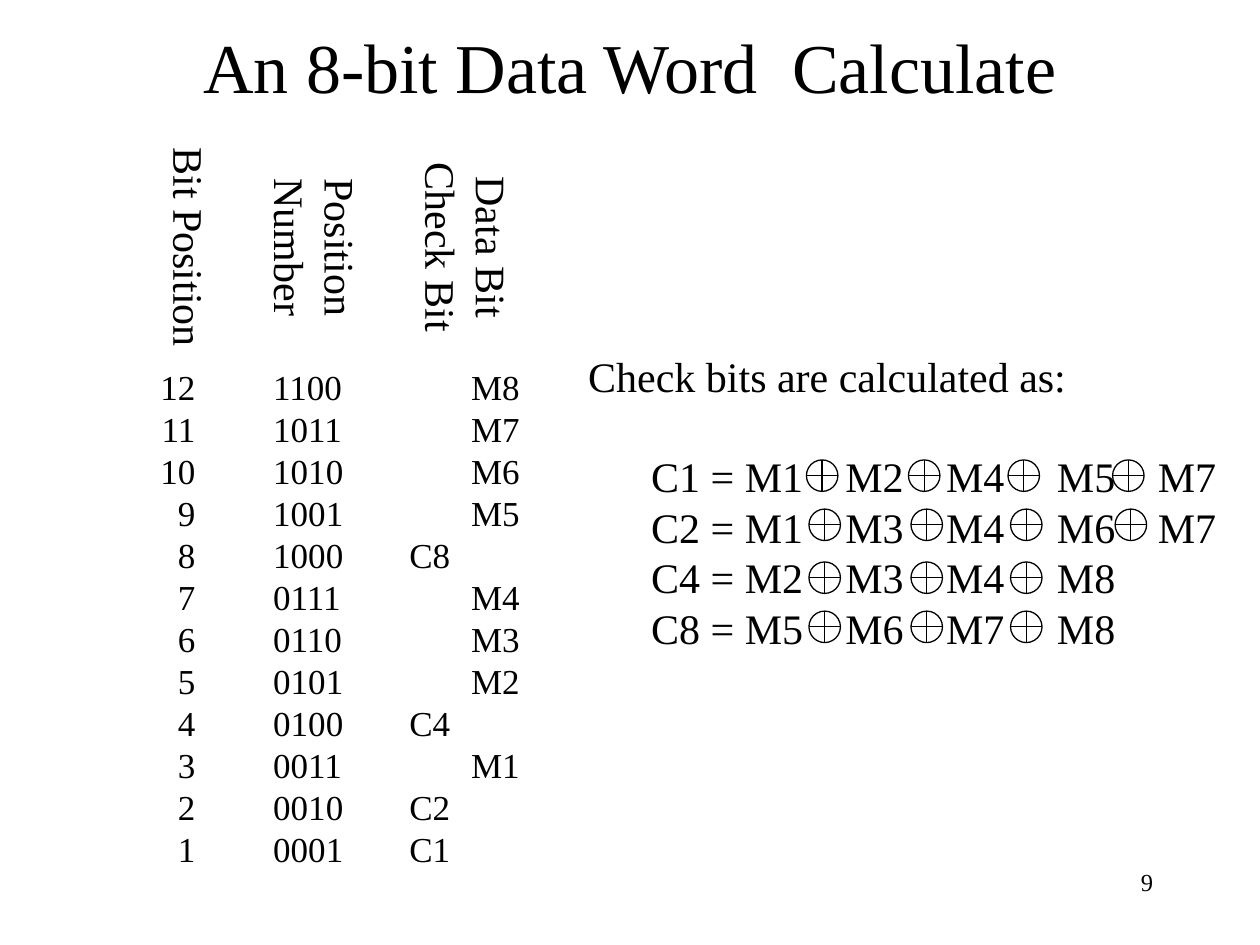
from dataclasses import dataclass

from lxml import etree
from pptx import Presentation
from pptx.dml.color import RGBColor
from pptx.enum.shapes import MSO_CONNECTOR, MSO_SHAPE
from pptx.enum.text import MSO_ANCHOR, PP_ALIGN
from pptx.oxml.ns import qn
from pptx.util import Inches, Pt

LEFT, CENTER, RIGHT = PP_ALIGN.LEFT, PP_ALIGN.CENTER, PP_ALIGN.RIGHT
TOP, MIDDLE = MSO_ANCHOR.TOP, MSO_ANCHOR.MIDDLE
OVAL, STRAIGHT = MSO_SHAPE.OVAL, MSO_CONNECTOR.STRAIGHT


@dataclass(frozen=True)
class Theme:
    font: str = "Times New Roman"
    ink: RGBColor = RGBColor(0, 0, 0)
    title: int = 40
    body: int = 24
    table: int = 20
    number: int = 14
    leading: float = 1.2
    line: float = 0.75


@dataclass(frozen=True)
class TextBlock:
    left: float
    top: float
    width: float
    height: float
    size: int
    lines: list[str]
    align: PP_ALIGN = LEFT
    anchor: MSO_ANCHOR = TOP


THEME = Theme()

BITS = range(12, 0, -1)
CHECK_BITS = (1, 2, 4, 8)
DATA_BITS = [bit for bit in BITS if bit not in CHECK_BITS][::-1]
DATA_INDENT = 0.49

HEADINGS = ["Data Bit", "Check Bit", "Position", "Number", "Bit Position"]
HEADINGS_AFTER_GAP = (2, 4)

EQUATIONS = {
    "C1": ["M1", "M2", "M4", "M5", "M7"],
    "C2": ["M1", "M3", "M4", "M6", "M7"],
    "C4": ["M2", "M3", "M4", "M8"],
    "C8": ["M5", "M6", "M7", "M8"],
}
EQUATION_TABS = (0.5, 2.04, 2.84, 3.72, 4.52)
XOR_TOPS = (3.65, 4.04, 4.46, 4.85)
XOR_LEFTS = (6.42, 7.23, 8.02, 8.85)
FIRST_ROW_SHIFT = -0.02
XOR_SIZE = 0.25


def add_text(slide, block: TextBlock):
    sp = slide.shapes.add_textbox(Inches(block.left), Inches(block.top),
                                  Inches(block.width), Inches(block.height))
    tf = sp.text_frame
    tf.word_wrap = True
    tf.vertical_anchor = block.anchor
    tf.text = "\n".join(block.lines)
    for p in tf.paragraphs:
        p.alignment = block.align
        p.line_spacing = Pt(block.size * THEME.leading)
        for r in p.runs:
            r.font.name = THEME.font
            r.font.size = Pt(block.size)
            r.font.color.rgb = THEME.ink
    return tf


def skip_line(p, size: int) -> None:
    p.space_before = Pt(size * THEME.leading)


def set_tabs(p, stops: tuple[float, ...]) -> None:
    tabs = etree.SubElement(p._p.get_or_add_pPr(), qn("a:tabLst"))
    for stop in stops:
        etree.SubElement(tabs, qn("a:tab"), pos=str(Inches(stop)), algn="l")


def add_headings(slide) -> None:
    """Column headings, read downwards and ordered from right to left."""
    tf = add_text(slide, TextBlock(1.16, 1.17, 3, 1.69, THEME.body, HEADINGS, CENTER))
    tf.margin_left = tf.margin_right = Inches(0.05)
    tf.margin_top = tf.margin_bottom = 0
    tf._txBody.bodyPr.set("vert", "eaVert")
    for i in HEADINGS_AFTER_GAP:
        skip_line(tf.paragraphs[i], THEME.body)


def add_bit_columns(slide) -> None:
    top, height = 2.85, 4.1
    names = [f"C{bit}" if bit in CHECK_BITS else f"M{DATA_BITS.index(bit) + 1}"
             for bit in BITS]
    add_text(slide, TextBlock(1.15, top, 0.5, height, THEME.table,
                              [str(bit) for bit in BITS], RIGHT))
    add_text(slide, TextBlock(2.07, top, 0.8, height, THEME.table,
                              [f"{bit:04b}" for bit in BITS]))
    tf = add_text(slide, TextBlock(3.15, top, 1.12, height, THEME.table, names))
    for bit, p in zip(BITS, tf.paragraphs):
        if bit not in CHECK_BITS:
            p._p.get_or_add_pPr().set("marL", str(Inches(DATA_INDENT)))


def add_line(slide, x1: float, y1: float, x2: float, y2: float) -> None:
    line = slide.shapes.add_connector(STRAIGHT, Inches(x1), Inches(y1),
                                      Inches(x2), Inches(y2))
    line.line.color.rgb = THEME.ink
    line.line.width = Pt(THEME.line)
    etree.SubElement(line._element.spPr, qn("a:effectLst"))


def add_xor(slide, left: float, top: float) -> None:
    """A circled plus sign."""
    sp = slide.shapes.add_shape(OVAL, Inches(left), Inches(top),
                                Inches(XOR_SIZE), Inches(XOR_SIZE))
    sp.shadow.inherit = False
    sp.fill.background()
    sp.line.color.rgb = THEME.ink
    sp.line.width = Pt(THEME.line)
    x, y = left + XOR_SIZE / 2, top + XOR_SIZE / 2
    add_line(slide, left, y, left + XOR_SIZE, y)
    add_line(slide, x, top, x, top + XOR_SIZE)


def add_equations(slide) -> None:
    lines = [f"\t{check} = " + "\t".join(terms) for check, terms in EQUATIONS.items()]
    tf = add_text(slide, TextBlock(4.57, 2.73, 5.25, 2.5, THEME.body,
                                   ["Check bits are calculated as:", *lines]))
    equations = tf.paragraphs[1:]
    skip_line(equations[0], THEME.body)
    for p in equations:
        set_tabs(p, EQUATION_TABS)
    for row, (terms, top) in enumerate(zip(EQUATIONS.values(), XOR_TOPS)):
        shift = FIRST_ROW_SHIFT if row == 0 else 0
        for left in XOR_LEFTS[:len(terms) - 1]:
            add_xor(slide, left + shift, top)


def main() -> None:
    prs = Presentation()
    prs.slide_width, prs.slide_height = Inches(10), Inches(7.5)
    s = prs.slides.add_slide(prs.slide_layouts[6])
    add_text(s, TextBlock(7.17, 6.83, 2.08, 0.5, THEME.number, ["9"], RIGHT))
    add_text(s, TextBlock(0.75, 0, 8.5, 1.04, THEME.title,
                          ["An 8-bit Data Word  Calculate"], CENTER, MIDDLE))
    add_headings(s)
    add_bit_columns(s)
    add_equations(s)
    prs.save("out.pptx")


if __name__ == "__main__":
    main()
